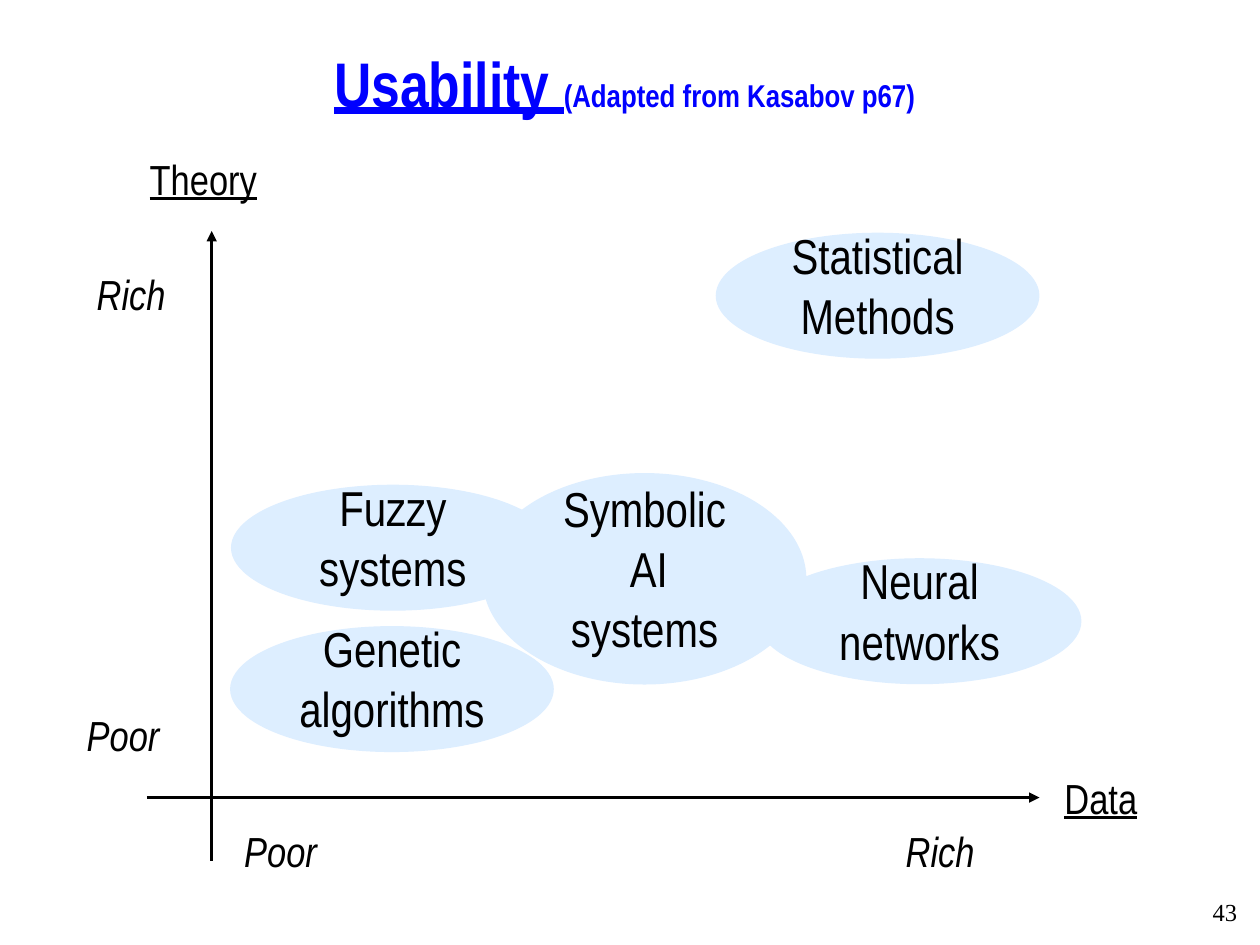
from dataclasses import dataclass

from lxml.etree import SubElement
from pptx import Presentation
from pptx.dml.color import RGBColor
from pptx.enum.shapes import MSO_CONNECTOR as Connector, MSO_SHAPE as Shape
from pptx.enum.text import MSO_ANCHOR as Anchor, MSO_AUTO_SIZE as AutoSize, PP_ALIGN as Align
from pptx.oxml.ns import qn
from pptx.util import Pt


@dataclass(frozen=True)
class Theme:
    font: str = "Arial Narrow"
    number_font: str = "Times New Roman"
    ink: RGBColor = RGBColor(0, 0, 0)
    title: RGBColor = RGBColor(0, 0, 255)
    bubble: RGBColor = RGBColor(0xDD, 0xEE, 0xFF)
    title_size: int = 36
    source_size: int = 18
    label_size: int = 24
    bubble_size: int = 28
    number_size: int = 14
    axis_width: float = 1.5


@dataclass(frozen=True)
class Box:
    left: float
    top: float
    width: float
    height: float

    def inner(self, left, top, width, height):
        return Box(self.left + left, self.top + top, width, height)

    def lengths(self):
        return Pt(self.left), Pt(self.top), Pt(self.width), Pt(self.height)


THEME = Theme()
LABELS = [
    ("Theory", -5.5, -47.8, 77, "underline"),
    ("Data", 517.2, 305.8, 58, "underline"),
    ("Poor", -41.5, 269.8, 58, "italic"),
    ("Poor", 48.5, 336, 58, "italic"),
    ("Rich", 426.5, 336, 56, "italic"),
    ("Rich", -35.8, 17.8, 56, "italic"),
]
BUBBLES = [
    (["Genetic", "algorithms"], 47.5, 225.8, 72),
    (["Fuzzy", "systems"], 48, 145, 72),
    (["Symbolic", " AI", "systems"], 191.8, 138.3, 120.8),
    (["Neural", "networks"], 349, 187, 72),
    (["Statistical", "Methods"], 325, 1, 72),
]


def set_font(font, size, color=THEME.ink, name=THEME.font):
    font.name = name
    font.size = Pt(size)
    font.color.rgb = color


def add_title(slide, box):
    title = slide.shapes.title
    title.left, title.top, title.width, title.height = box.lengths()
    frame = title.text_frame
    frame.auto_size = AutoSize.NONE
    frame.vertical_anchor = Anchor.BOTTOM
    paragraph = frame.paragraphs[0]
    paragraph.alignment = Align.CENTER
    parts = [("Usability ", THEME.title_size, True),
             ("(Adapted from Kasabov p67)", THEME.source_size, False)]
    for text, size, underline in parts:
        run = paragraph.add_run()
        run.text = text
        set_font(run.font, size, THEME.title)
        run.font.bold = True
        run.font.underline = underline


def add_axis(slide, start, end):
    axis = slide.shapes.add_connector(
        Connector.STRAIGHT, *(Pt(value) for value in (*start, *end)))
    axis.line.color.rgb = THEME.ink
    axis.line.width = Pt(THEME.axis_width)
    SubElement(axis.line._get_or_add_ln(), qn("a:tailEnd"), type="triangle")
    SubElement(axis._element.spPr, qn("a:effectLst"))


def add_label(slide, box, text, style):
    frame = slide.shapes.add_textbox(*box.lengths()).text_frame
    frame.word_wrap = False
    frame.auto_size = AutoSize.SHAPE_TO_FIT_TEXT
    paragraph = frame.paragraphs[0]
    paragraph.text = text
    paragraph.space_before = Pt(15)
    set_font(paragraph.font, THEME.label_size)
    setattr(paragraph.font, style, True)


def add_bubble(slide, box, lines):
    bubble = slide.shapes.add_shape(Shape.OVAL, *box.lengths())
    bubble.shadow.inherit = False
    bubble.fill.solid()
    bubble.fill.fore_color.rgb = THEME.bubble
    bubble.line.fill.background()
    frame = bubble.text_frame
    frame.word_wrap = True
    frame.auto_size = AutoSize.SHAPE_TO_FIT_TEXT
    frame.vertical_anchor = Anchor.MIDDLE
    frame.margin_left = frame.margin_top = frame.margin_right = frame.margin_bottom = 0
    frame.text = "\n".join(lines)
    for paragraph in frame.paragraphs:
        paragraph.alignment = Align.CENTER
        paragraph.line_spacing = 0.5
        paragraph.space_before = Pt(17.5)
        set_font(paragraph.font, THEME.bubble_size)


def add_usability_map(slide, box):
    axis_x, axis_y = box.left + 37, box.top + 323.8
    add_axis(slide, (axis_x, box.top + box.height), (axis_x, box.top))
    add_axis(slide, (box.left, axis_y), (box.left + box.width, axis_y))
    for text, left, top, width, style in LABELS:
        add_label(slide, box.inner(left, top, width, 36), text, style)
    for lines, left, top, height in BUBBLES:
        add_bubble(slide, box.inner(left, top, 185, height), lines)


def add_page_number(slide, box, number):
    frame = slide.shapes.add_textbox(*box.lengths()).text_frame
    frame.word_wrap = True
    paragraph = frame.paragraphs[0]
    paragraph.text = number
    paragraph.alignment = Align.RIGHT
    set_font(paragraph.font, THEME.number_size, name=THEME.number_font)


def main():
    presentation = Presentation()
    presentation.slide_width, presentation.slide_height = Pt(720), Pt(540)
    slide = presentation.slides.add_slide(presentation.slide_layouts.get_by_name("Title Only"))
    add_page_number(slide, Box(498, 509, 216, 24), "43")
    add_title(slide, Box(0, 9.5, 714, 62.5))
    add_usability_map(slide, Box(84, 132, 510, 360))
    presentation.save("out.pptx")


if __name__ == "__main__":
    main()
